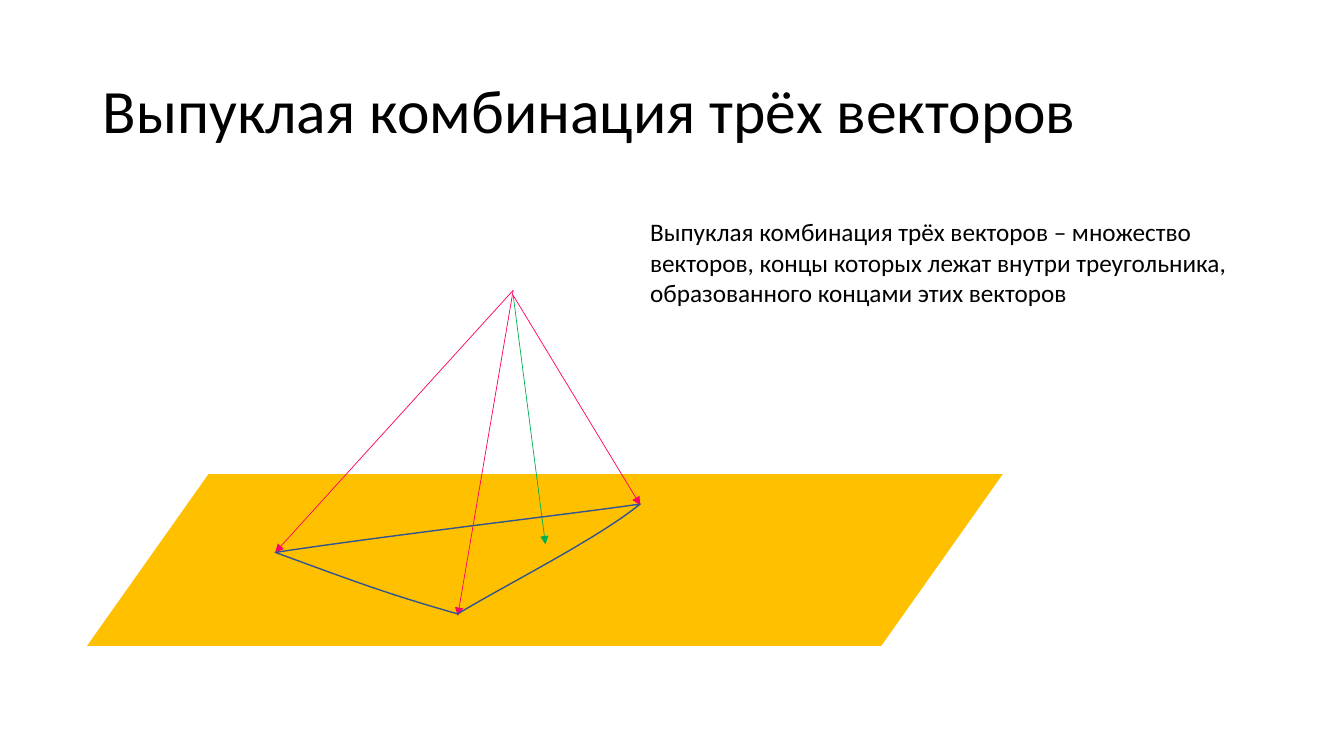
from lxml import etree
from pptx import Presentation
from pptx.dml.color import RGBColor
from pptx.enum.shapes import MSO_CONNECTOR, MSO_SHAPE
from pptx.enum.text import MSO_ANCHOR as ANCHOR, MSO_AUTO_SIZE as AUTO
from pptx.oxml.ns import qn
from pptx.util import Pt

PX = 9144  # EMU in one px, 100 px to the inch
FONT = "Calibri"
BLACK, WHITE, AMBER = "000000", "FFFFFF", "FFC000"
PINK, GREEN, NAVY = "FF0066", "00B050", "325491"


def rgb(value):
    return RGBColor.from_string(value)


def emu(*lengths):
    return [round(n * PX) for n in lengths]


def bezier(start, c1, c2, end, steps=24):
    """Points along a cubic curve, without its start."""
    def at(t):
        u = 1 - t
        weights = u**3, 3 * u * u * t, 3 * u * t * t, t**3
        return tuple(sum(w * v for w, v in zip(weights, axis))
                     for axis in zip(start, c1, c2, end))
    return [at(i / steps) for i in range(1, steps + 1)]


class Canvas:
    def __init__(self, prs):
        self.shapes = prs.slides.add_slide(prs.slide_layouts[6]).shapes

    def outline(self, sp, color, width):
        sp.line.color.rgb = rgb(color)
        sp.line.width = Pt(width)

    def text(self, box, text, size, color=BLACK, anchor=ANCHOR.TOP,
             spacing=1.0, auto=AUTO.NONE):
        tf = self.shapes.add_textbox(*emu(*box)).text_frame
        tf.word_wrap, tf.auto_size, tf.vertical_anchor = True, auto, anchor
        p = tf.paragraphs[0]
        p.line_spacing = spacing
        r = p.add_run()
        r.text = text
        r.font.name, r.font.size = FONT, Pt(size)
        r.font.color.rgb = rgb(color)

    def parallelogram(self, box, slant, fill, line, width):
        sp = self.shapes.add_shape(MSO_SHAPE.PARALLELOGRAM, *emu(*box))
        sp.adjustments[0] = slant
        sp.shadow.inherit = False
        sp.fill.solid()
        sp.fill.fore_color.rgb = rgb(fill)
        self.outline(sp, line, width)

    def arrow(self, start, end, color, width=0.5):
        sp = self.shapes.add_connector(MSO_CONNECTOR.STRAIGHT, *emu(*start, *end))
        self.outline(sp, color, width)
        etree.SubElement(sp.line._get_or_add_ln(), qn("a:tailEnd"), type="triangle")
        etree.SubElement(sp._element.spPr, qn("a:effectLst"))

    def curved_outline(self, start, curves, color, width):
        """Closed unfilled outline; each curve is (control, control, end)."""
        points, corner = [], start
        for curve in curves:
            points += bezier(corner, *curve)
            corner = curve[-1]
        builder = self.shapes.build_freeform(*emu(*start))
        builder.add_line_segments([emu(*point) for point in points], close=True)
        sp = builder.convert_to_shape()
        sp.shadow.inherit = False
        sp.fill.background()
        self.outline(sp, color, width)


def main():
    prs = Presentation()
    prs.slide_width, prs.slide_height = emu(1333, 750)
    slide = Canvas(prs)

    slide.parallelogram((84, 469, 913, 173), 0.707, AMBER, WHITE, 1.5)
    slide.text((92, 40, 1150, 145), "Выпуклая комбинация трёх векторов", 44,
               anchor=ANCHOR.MIDDLE, spacing=0.9)

    left, right, front = (273, 548), (635, 500), (454, 609)
    for start, end, color in [
        ((509, 288), left, PINK),
        ((509, 288), (454, 611), PINK),
        ((509, 293), (635, 501), PINK),
        ((509, 293), (541, 540), GREEN),
    ]:
        slide.arrow(start, end, color)

    slide.text((635, 210, 606, 101),
               "Выпуклая комбинация трёх векторов – множество векторов, концы "
               "которых лежат внутри треугольника, образованного концами этих векторов",
               18, auto=AUTO.SHAPE_TO_FIT_TEXT)
    slide.curved_outline(left, [
        ((393, 530), (590, 507), right),
        ((592, 535), (500, 581), front),
        ((383, 589), (344, 574), left),
    ], NAVY, 1)

    prs.save("out.pptx")


if __name__ == "__main__":
    main()
